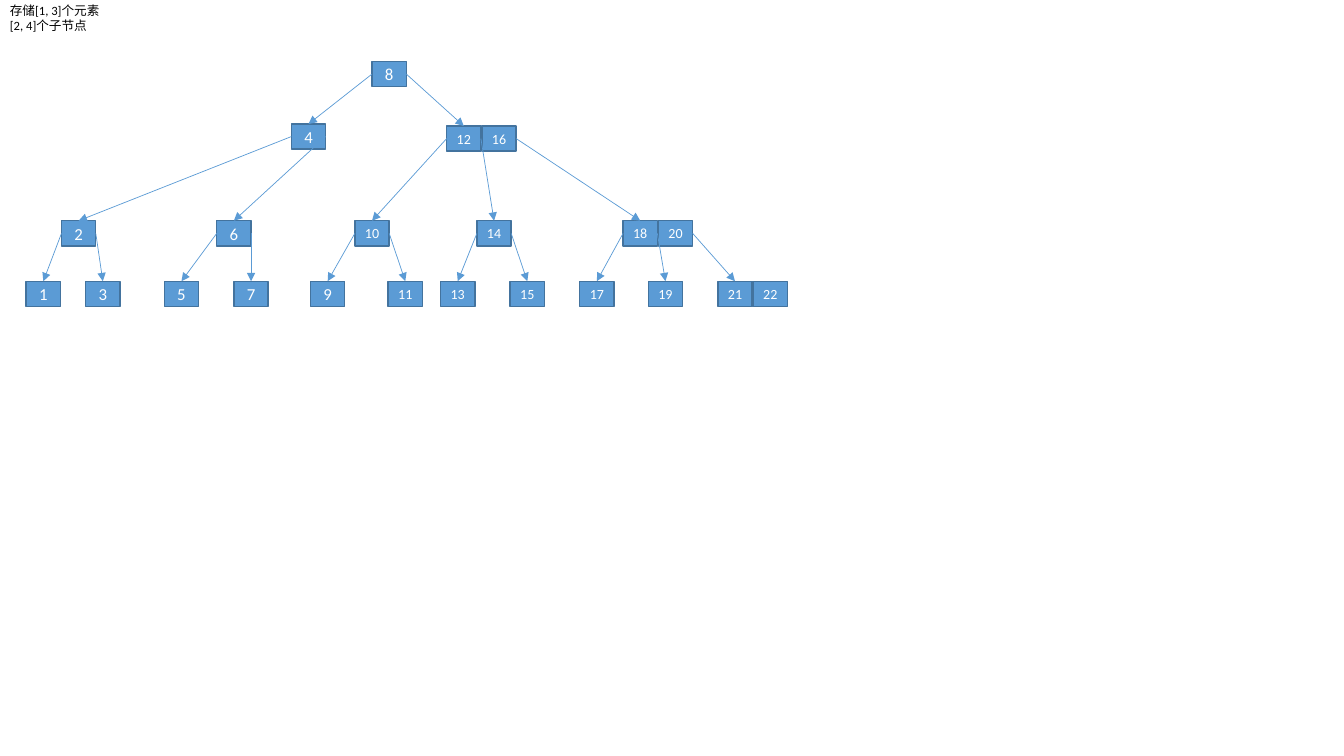
from lxml import etree
from pptx import Presentation
from pptx.dml.color import RGBColor
from pptx.enum.shapes import MSO_CONNECTOR, MSO_SHAPE
from pptx.enum.text import MSO_ANCHOR, PP_ALIGN
from pptx.oxml.ns import qn
from pptx.util import Inches, Pt

GRID = 0.1  # inches per grid column and row
KEY_W, KEY_H = 3.4, 2.5
KEY_PITCH = 3.5
ROOT_ROW, LEFT_ROW, RIGHT_ROW, PARENT_ROW, LEAF_ROW = 6.1, 12.3, 12.5, 21.9, 27.9


def color(hex_text):
    """Turn a hex string into a colour."""
    return RGBColor.from_string(hex_text)


def cells(count):
    """Turn a number of grid cells into a length."""
    return Inches(count * GRID)


class TreeSlide:
    """Holds the style and the current slide."""
    font, fill, border, arrow_color = "Calibri", "5B9BD5", "43739E", "5B9BD5"
    key_text, note_text = "FFFFFF", "000000"

    def __init__(self, deck):
        """Add a blank slide to the deck."""
        self.shapes = deck.slides.add_slide(deck.slide_layouts[6]).shapes

    def label(self, paragraph, text, size, hex_text):
        """Put one styled run in a paragraph."""
        run = paragraph.add_run()
        run.text = text
        run.font.name, run.font.size = self.font, Pt(size)
        run.font.color.rgb = color(hex_text)

    def note(self, left, top, width, height, lines):
        """Add a wrapped text box, one paragraph per line."""
        frame = self.shapes.add_textbox(*map(cells, (left, top, width, height))).text_frame
        frame.word_wrap = True
        for i, line in enumerate(lines):
            paragraph = frame.add_paragraph() if i else frame.paragraphs[0]
            self.label(paragraph, line, 9, self.note_text)

    def key(self, left, top, value):
        """Add one key box."""
        box = self.shapes.add_shape(MSO_SHAPE.RECTANGLE, *map(cells, (left, top, KEY_W, KEY_H)))
        box.shadow.inherit = False
        box.fill.solid()
        box.fill.fore_color.rgb = color(self.fill)
        box.line.color.rgb = color(self.border)
        box.line.width = Pt(1)
        frame = box.text_frame
        frame.margin_left = frame.margin_right = 0
        frame.vertical_anchor = MSO_ANCHOR.MIDDLE
        frame.paragraphs[0].alignment = PP_ALIGN.CENTER
        self.label(frame.paragraphs[0], str(value), 12 if value < 10 else 10, self.key_text)

    def arrow(self, x1, y1, x2, y2):
        """Add a thin arrow between two grid points."""
        arrow = self.shapes.add_connector(MSO_CONNECTOR.STRAIGHT, *map(cells, (x1, y1, x2, y2)))
        arrow.line.color.rgb = color(self.arrow_color)
        arrow.line.width = Pt(0.5)
        properties = arrow.element.spPr
        etree.SubElement(properties.find(qn("a:ln")), qn("a:tailEnd"), type="triangle")
        etree.SubElement(properties, qn("a:effectLst"))

    def node(self, keys, left, top, children=()):
        """Draw a node, its subtrees, and the arrows to them."""
        for i, value in enumerate(keys):
            self.key(left + i * KEY_PITCH, top, value)
        for i, child in enumerate(children):
            self.node(*child)
            start = left + (i - 1) * KEY_PITCH + KEY_W if i else left
            _, child_left, child_top = child[:3]
            self.arrow(start, top + KEY_H / 2, child_left + KEY_W / 2, child_top)


def leaf(left, *keys):
    """Describe a node on the lowest row."""
    return keys, left, LEAF_ROW


def parent(left, keys, *leaves):
    """Describe a node just above the leaves."""
    return keys, left, PARENT_ROW, leaves


LEFT_TREE = ([4], 28.9, LEFT_ROW, [
    parent(6.1, [2], leaf(2.6, 1), leaf(8.5, 3)),
    parent(21.5, [6], leaf(16.3, 5), leaf(23.2, 7)),
])
RIGHT_TREE = ([12, 16], 44.3, RIGHT_ROW, [
    parent(35.2, [10], leaf(30.8, 9), leaf(38.5, 11)),
    parent(47.3, [14], leaf(43.7, 13), leaf(50.6, 15)),
    parent(61.8, [18, 20], leaf(57.5, 17), leaf(64.3, 19), leaf(71.2, 21, 22)),
])

deck = Presentation()
deck.slide_width, deck.slide_height = Inches(13.33), Inches(7.5)
slide = TreeSlide(deck)
slide.note(0, -0.2, 11, 4, ["存储[1, 3]个元素", "[2, 4]个子节点"])
slide.node([8], 36.9, ROOT_ROW, [LEFT_TREE, RIGHT_TREE])
deck.save("out.pptx")
